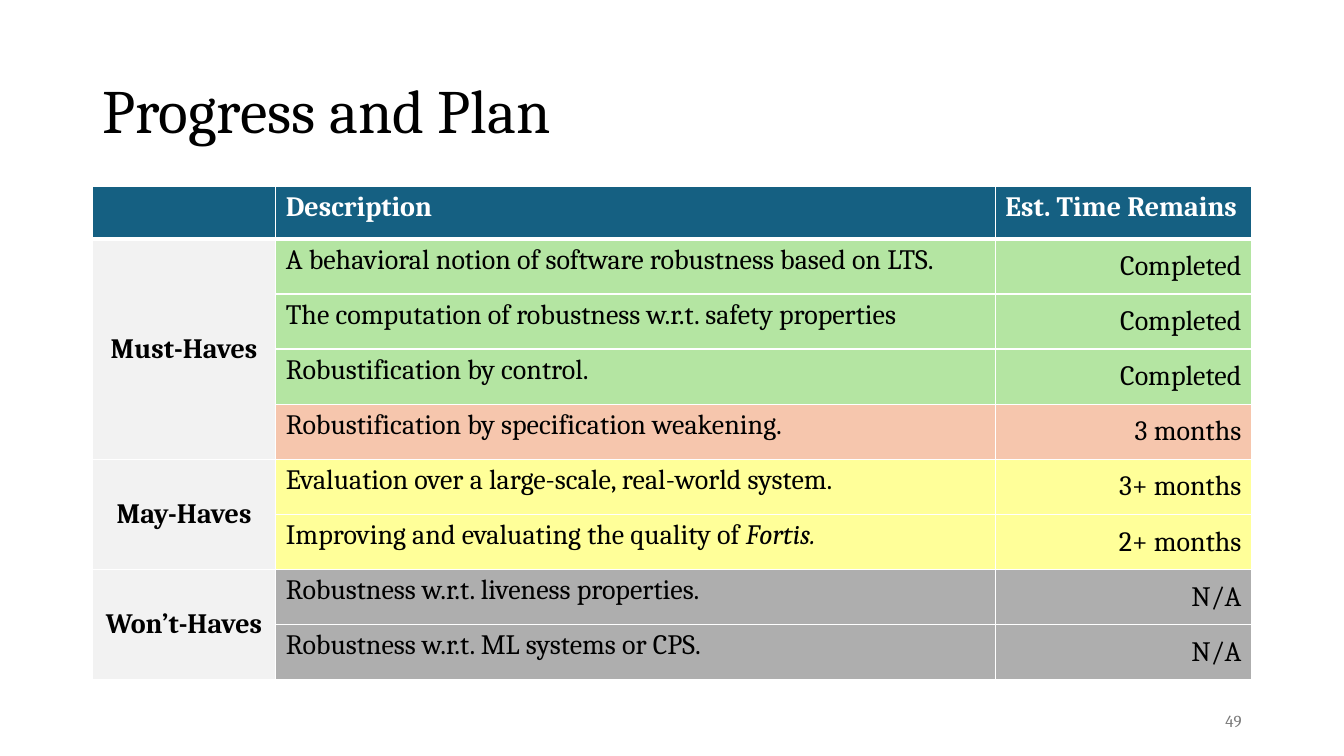
from lxml import etree
from pptx import Presentation
from pptx.dml.color import RGBColor
from pptx.enum.text import MSO_ANCHOR, PP_ALIGN
from pptx.oxml.ns import qn
from pptx.util import Pt

LEFT, CENTER, RIGHT = PP_ALIGN.LEFT, PP_ALIGN.CENTER, PP_ALIGN.RIGHT
TOP, MIDDLE = MSO_ANCHOR.TOP, MSO_ANCHOR.MIDDLE
FONT = "Cambria"
COLORS = {
    "header": "156082",
    "group": "F2F2F2",
    "done": "B4E5A2",
    "active": "F6C6AD",
    "optional": "FFFF99",
    "excluded": "AEAEAE",
    "white": "FFFFFF",
    "black": "000000",
    "number": "797979",
}
COL_WIDTHS = (131, 514, 183)
HEADER_HEIGHT, ROW_HEIGHT = 37.2, 39.4
HEADERS = ("", "Description", "Est. Time Remains")
GROUPS = [
    ("Must-Haves", [
        ("A behavioral notion of software robustness based on LTS.", "", "Completed", "done"),
        ("The computation of robustness w.r.t. safety properties", "", "Completed", "done"),
        ("Robustification by control.", "", "Completed", "done"),
        ("Robustification by specification weakening.", "", "3 months", "active"),
    ]),
    ("May-Haves", [
        ("Evaluation over a large-scale, real-world system.", "", "3+ months", "optional"),
        ("Improving and evaluating the quality of ", "Fortis.", "2+ months", "optional"),
    ]),
    ("Won’t-Haves", [
        ("Robustness w.r.t. liveness properties.", "", "N/A", "excluded"),
        ("Robustness w.r.t. ML systems or CPS.", "", "N/A", "excluded"),
    ]),
]


def add_text(p, text, size=20, color="black", bold=False, italic=False, align=LEFT):
    p.alignment = align
    r = p.add_run()
    r.text = text
    r.font.name = FONT
    r.font.size = Pt(size)
    r.font.bold = bold
    r.font.italic = italic
    r.font.color.rgb = RGBColor.from_string(COLORS[color])


def set_borders(cell, top=1, bottom=1):
    tc_pr = cell._tc.get_or_add_tcPr()
    for tag, width in (("lnL", 1), ("lnR", 1), ("lnT", top), ("lnB", bottom)):
        ln = etree.SubElement(tc_pr, qn(f"a:{tag}"), w=str(Pt(width)))
        fill = etree.SubElement(ln, qn("a:solidFill"))
        etree.SubElement(fill, qn("a:srgbClr"), val=COLORS["white"])


def format_cell(cell, fill, anchor=TOP, **borders):
    set_borders(cell, **borders)
    cell.fill.solid()
    cell.fill.fore_color.rgb = RGBColor.from_string(COLORS[fill])
    cell.vertical_anchor = anchor
    return cell.text_frame.paragraphs[0]


def add_title(s, text):
    sp = s.shapes.title
    sp.left, sp.top, sp.width, sp.height = Pt(66), Pt(28.8), Pt(828), Pt(104.4)
    tf = sp.text_frame
    tf.word_wrap = True
    tf.vertical_anchor = MIDDLE
    p = tf.paragraphs[0]
    p.line_spacing = 0.9
    add_text(p, text, size=44)


def add_plan_table(s):
    count = sum(len(tasks) for _, tasks in GROUPS)
    height = HEADER_HEIGHT + count * ROW_HEIGHT
    table = s.shapes.add_table(count + 1, len(HEADERS), Pt(66), Pt(133.4),
                               Pt(sum(COL_WIDTHS)), Pt(height)).table
    table.horz_banding = False
    for col, width in zip(table.columns, COL_WIDTHS):
        col.width = Pt(width)
    for i, row in enumerate(table.rows):
        row.height = Pt(ROW_HEIGHT if i else HEADER_HEIGHT)

    for col, header in enumerate(HEADERS):
        p = format_cell(table.cell(0, col), "header", bottom=3)
        if header:
            add_text(p, header, color="white", bold=True)

    row = 1
    for group, tasks in GROUPS:
        first = row
        for description, emphasis, remaining, status in tasks:
            top = 3 if row == 1 else 1
            format_cell(table.cell(row, 0), "group", MIDDLE, top=top)
            p = format_cell(table.cell(row, 1), status, top=top)
            add_text(p, description)
            if emphasis:
                add_text(p, emphasis, italic=True)
            p = format_cell(table.cell(row, 2), status, MIDDLE, top=top)
            add_text(p, remaining, align=RIGHT)
            row += 1
        label = table.cell(first, 0)
        label.merge(table.cell(row - 1, 0))
        add_text(label.text_frame.paragraphs[0], group, bold=True, align=CENTER)


def add_slide_number(s, number):
    tf = s.shapes.add_textbox(Pt(678), Pt(500.4), Pt(216), Pt(28.8)).text_frame
    tf.word_wrap = True
    tf.vertical_anchor = MIDDLE
    add_text(tf.paragraphs[0], number, size=12, color="number", align=RIGHT)


def main():
    prs = Presentation()
    prs.slide_width, prs.slide_height = Pt(960), Pt(540)
    s = prs.slides.add_slide(prs.slide_layouts[5])
    add_title(s, "Progress and Plan")
    add_plan_table(s)
    add_slide_number(s, "49")
    prs.save("out.pptx")


if __name__ == "__main__":
    main()
